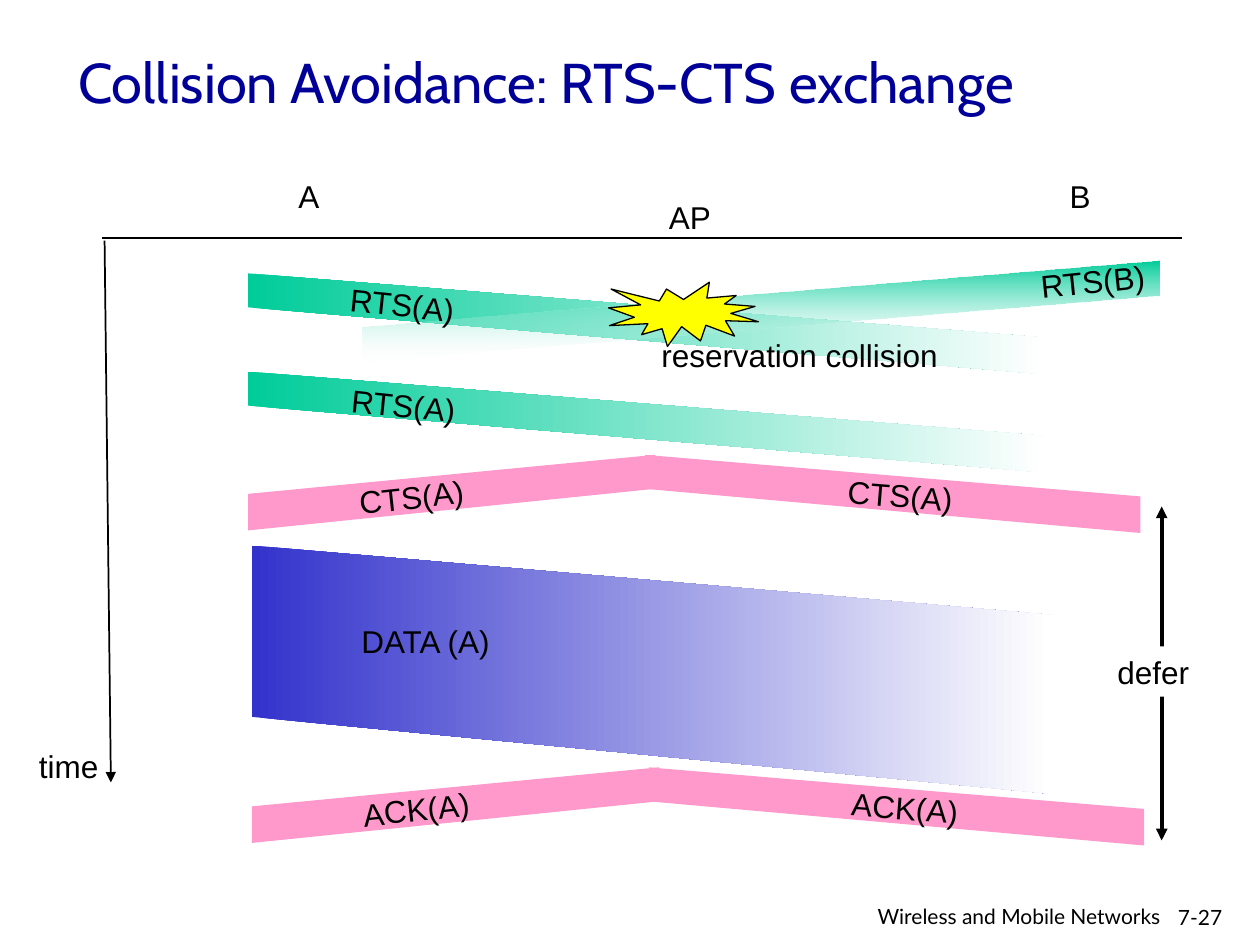
"""Build the slide on collision avoidance with an RTS-CTS exchange."""
from lxml import etree
from pptx import Presentation
from pptx.dml.color import RGBColor
from pptx.enum.shapes import MSO_CONNECTOR, MSO_SHAPE
from pptx.enum.text import MSO_ANCHOR, MSO_AUTO_SIZE, PP_ALIGN
from pptx.oxml.ns import qn
from pptx.util import Inches, Pt

LINE = MSO_CONNECTOR.STRAIGHT
BURST = MSO_SHAPE.EXPLOSION1
MIDDLE = MSO_ANCHOR.MIDDLE
GROW = MSO_AUTO_SIZE.SHAPE_TO_FIT_TEXT
LEFT, RIGHT = PP_ALIGN.LEFT, PP_ALIGN.RIGHT
NAVY = RGBColor(0x00, 0x00, 0x99)
BLACK = RGBColor(0x00, 0x00, 0x00)
WHITE = RGBColor(0xFF, 0xFF, 0xFF)
GREEN = RGBColor(0x00, 0xCC, 0x99)
PINK = RGBColor(0xFF, 0x99, 0xCC)
BLUE = RGBColor(0x33, 0x33, 0xCC)
YELLOW = RGBColor(0xFF, 0xFF, 0x00)

prs = Presentation()
prs.slide_width, prs.slide_height = Inches(10), Inches(7.5)
slide = prs.slides.add_slide(prs.slide_layouts[5])
shapes = slide.shapes


def add_text(text, x, y, w, h=0.4, turn=0, wrap=False, size=18, face="Arial"):
    box = shapes.add_textbox(Inches(x), Inches(y), Inches(w), Inches(h))
    box.rotation = turn
    frame = box.text_frame
    frame.text = text
    frame.word_wrap = wrap
    if size == 18:
        frame.auto_size = GROW
    font = frame.paragraphs[0].runs[0].font
    font.name, font.size, font.color.rgb = face, Pt(size), BLACK
    return box


def add_band(points, color, angle=None):
    spots = [(Inches(x), Inches(y)) for x, y in points]
    pen = shapes.build_freeform(*spots[0])
    pen.add_line_segments(spots[1:], close=True)
    band = pen.convert_to_shape()
    band.shadow.inherit = False
    band.line.fill.background()
    if angle is None:
        band.fill.solid()
        band.fill.fore_color.rgb = color
    else:
        band.fill.gradient()
        band.fill.gradient_angle = angle
        for stop, tone, place in zip(band.fill.gradient_stops, (color, WHITE), (0, 1)):
            stop.color.rgb = tone
            stop.position = place
    return band


title = shapes.title
title.left, title.top = Inches(0.52), Inches(0.13)
title.width, title.height = Inches(8.5), Inches(1.03)
title.text_frame.text = "Collision Avoidance: RTS-CTS exchange"
title.text_frame.vertical_anchor = MIDDLE
head = title.text_frame.paragraphs[0]
head.alignment = LEFT
font = head.runs[0].font
font.name, font.size, font.color.rgb = "Cabin", Pt(32), NAVY

for text, x, y, w in [
    ("AP", 5.21, 1.52, 0.54),
    ("A", 2.27, 1.36, 0.38),
    ("B", 8.39, 1.36, 0.37),
    ("time", 0.21, 5.88, 0.68),
]:
    add_text(text, x, y, w)

for y in (2.17, 2.95):
    add_band([(1.97, y), (8.29, y + 0.51), (8.29, y + 0.8), (1.97, y + 0.27)], GREEN, 0)
beam = add_band([(9.2, 2.07), (2.88, 2.59), (2.88, 2.87), (9.2, 2.35)], GREEN, 270)
pale = beam.fill._xPr.findall(".//" + qn("a:srgbClr"))[-1]
etree.SubElement(pale, qn("a:alpha")).set("val", "6000")
add_band([(2, 4.33), (8.34, 4.88), (8.34, 6.3), (2, 5.69)], BLUE, 0)

for x, y, text, w in [(1.97, 3.61, "CTS(A)", 1.06), (2, 6.09, "ACK(A)", 1.05)]:
    mid, far = x + 3.15, x + 7.08
    add_band([(mid, y), (far, y + 0.33), (far, y + 0.62), (mid, y + 0.27)], PINK)
    add_band([(x + 3.23, y), (x, y + 0.31), (x, y + 0.6), (x + 3.23, y + 0.27)], PINK)
    add_text(text, x + 0.78, y + 0.13, w, turn=353.7)
    add_text(text, x + 4.66, y + 0.12, w, turn=4.6)

add_text("RTS(A)", 2.68, 2.22, 1.07, turn=5.9)
add_text("RTS(B)", 8.16, 2.03, 1.04, turn=354.1)
add_text("RTS(A)", 2.69, 3.02, 1.07, turn=5.9)
add_text("DATA (A)", 2.77, 4.89, 1.97, wrap=True)

burst = shapes.add_shape(BURST, Inches(4.83), Inches(2.24), Inches(1.19), Inches(0.51))
burst.shadow.inherit = False
burst.fill.solid()
burst.fill.fore_color.rgb = YELLOW
burst.line.color.rgb = BLACK
burst.line.width = Pt(0.75)
add_text("reservation collision", 5.15, 2.62, 3.09, wrap=True)

for x1, y1, x2, y2, width, tips in [
    (0.83, 1.91, 0.88, 6.21, 1, ["a:tailEnd"]),
    (0.81, 1.89, 9.38, 1.89, 0.75, []),
    (9.22, 4.02, 9.22, 6.67, 2.25, ["a:headEnd", "a:tailEnd"]),
]:
    line = shapes.add_connector(LINE, Inches(x1), Inches(y1), Inches(x2), Inches(y2))
    line.line.color.rgb = BLACK
    line.line.width = Pt(width)
    for tip in tips:
        etree.SubElement(line.line._get_or_add_ln(), qn(tip)).set("type", "triangle")
    etree.SubElement(line._element.spPr, qn("a:effectLst"))

defer = add_text("defer", 8.77, 5.13, 0.78)
defer.fill.solid()
defer.fill.fore_color.rgb = WHITE

add_text("7-27", 9.25, 7.13, 0.75, 0.3, wrap=True, size=12, face="Lato")
foot = add_text("Wireless and Mobile Networks", 6.4, 7.12, 2.91, 0.28, wrap=True, size=12, face="Lato")
foot.text_frame.paragraphs[0].alignment = RIGHT

prs.save("out.pptx")
